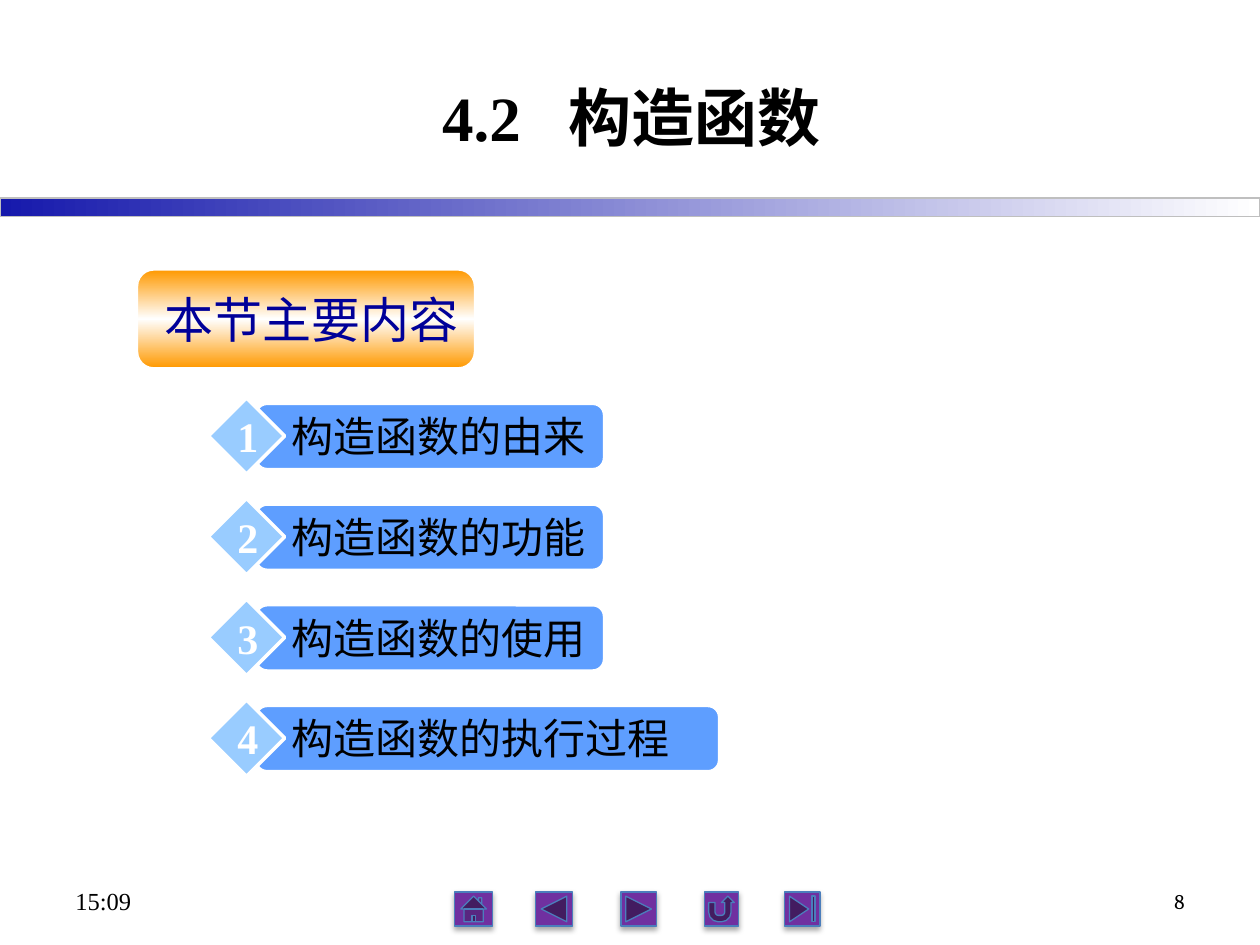
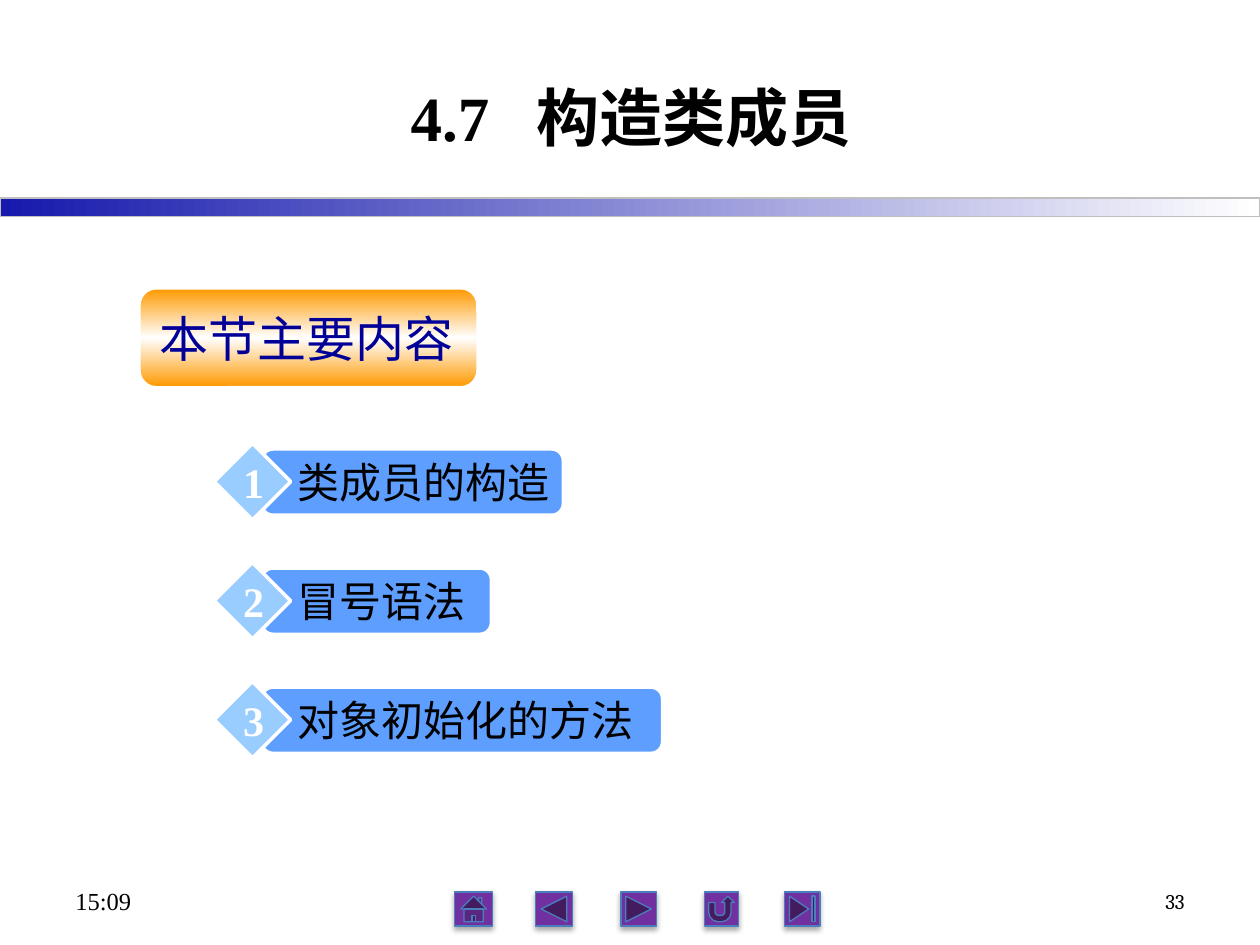
"""Build two section-opening slides with numbered topic lists."""
from lxml import etree
from pptx import Presentation
from pptx import util as u
from pptx.dml.color import RGBColor
from pptx.enum import shapes, text
from pptx.oxml.ns import qn

MSO = shapes.MSO_SHAPE
AL = text.PP_ALIGN
MIDDLE = text.MSO_ANCHOR.MIDDLE
SERIF, CJK = "Times New Roman", "Noto Sans CJK SC"
BLACK, WHITE, NAVY = "000000", "FFFFFF", "000099"
BAR, DIAMOND = "5E9EFF", "99CCFF"
ORANGE = ["FF9900", WHITE, "FF9900"]

BUTTONS = [
    (MSO.ACTION_BUTTON_HOME, 9.17, 0.76),
    (MSO.ACTION_BUTTON_BACK_OR_PREVIOUS, 10.8, 0.74),
    (MSO.ACTION_BUTTON_FORWARD_OR_NEXT, 12.52, 0.71),
    (MSO.ACTION_BUTTON_RETURN, 14.2, 0.69),
    (MSO.ACTION_BUTTON_END, 15.82, 0.71),
]

SECTIONS = [
    dict(number="4.2", title="构造函数", page="8", head=(2.77, 5.44), indent=0.3,
         left=4.2, top=8.02, pitch=2.03,
         topics=[("构造函数的由来", 7), ("构造函数的功能", 7),
                 ("构造函数的使用", 7), ("构造函数的执行过程", 9.32)]),
    dict(number="4.7", title="构造类成员", page="33", head=(2.82, 5.82), indent=0.15,
         left=4.32, top=8.94, pitch=2.4,
         topics=[("类成员的构造", 6.05), ("冒号语法", 4.6), ("对象初始化的方法", 8.05)]),
]


def draw(s, kind, box, fill, line, width, angle=0, shadow=False):
    """Add a preset shape; a list of colours makes an even gradient."""
    sp = s.shapes.add_shape(kind, *map(u.Cm, box))
    if isinstance(fill, list):
        sp.fill.gradient()
        sp.fill.gradient_angle = angle
        stops = sp._element.spPr.find(".//" + qn("a:gsLst"))
        stops.clear()
        for i, colour in enumerate(fill):
            gs = etree.SubElement(stops, qn("a:gs"), pos=str(100000 * i // (len(fill) - 1)))
            etree.SubElement(gs, qn("a:srgbClr"), val=colour)
    else:
        sp.fill.solid()
        sp.fill.fore_color.rgb = RGBColor.from_string(fill)
    sp.line.color.rgb = RGBColor.from_string(line)
    sp.line.width = u.Pt(width)
    sp.shadow.inherit = False
    if shadow:
        effects = sp._element.spPr.find(qn("a:effectLst"))
        outer = etree.SubElement(effects, qn("a:outerShdw"), blurRad=str(u.Pt(3.1)),
                                 dist=str(u.Pt(1.8)), dir="5400000", rotWithShape="0")
        clr = etree.SubElement(outer, qn("a:srgbClr"), val=BLACK)
        etree.SubElement(clr, qn("a:alpha"), val="35000")


def write(s, words, box=None, tf=None, size=24, font=SERIF, colour=BLACK, bold=False,
          align=AL.LEFT, anchor=text.MSO_ANCHOR.TOP, wrap=True, top=0.13, bottom=0.13, gap=0):
    """Add a formatted run to a text frame, or to a new text box."""
    tf = tf or s.shapes.add_textbox(*map(u.Cm, box)).text_frame
    tf.word_wrap, tf.vertical_anchor = wrap, anchor
    tf.margin_top, tf.margin_bottom = u.Cm(top), u.Cm(bottom)
    p = tf.paragraphs[0]
    p.alignment = align
    r = p.add_run()
    r.text = words
    r.font.size, r.font.bold, r.font.name = u.Pt(size), bold, font
    r.font.color.rgb = RGBColor.from_string(colour)
    rpr = r.font._element
    etree.SubElement(rpr, qn("a:ea"), typeface=CJK)
    if gap:
        rpr.set("spc", str(gap * 100))


prs = Presentation()
prs.slide_width, prs.slide_height = u.Cm(25.4), u.Cm(19.05)

for sec in SECTIONS:
    s = prs.slides.add_slide(prs.slide_layouts[5])

    draw(s, MSO.RECTANGLE, (0, 3.99, 25.4, 0.38), ["1619AC", WHITE], "BFBFBF", 0.75)
    for kind, x, w in BUTTONS:
        draw(s, kind, (x, 17.98, w, 0.69), "7030A0", "4B7EBC", 0.75, shadow=True)
    write(s, "15:09", (1.27, 17.65, 5.92, 1.02), size=14, anchor=MIDDLE)
    write(s, sec["page"], (18.21, 17.65, 5.92, 1.02), size=12, font="Cambria",
          align=AL.RIGHT, anchor=MIDDLE)

    title = s.shapes.title
    title.left, title.top, title.width, title.height = map(u.Cm, (2.82, 0.76, 19.81, 3.18))
    for words, font, gap in [(sec["number"], SERIF, 0), (" ", SERIF, 18), (sec["title"], CJK, 0)]:
        write(s, words, tf=title.text_frame, size=36, font=font, bold=True,
              align=AL.CENTER, anchor=MIDDLE, gap=gap)

    x, y = sec["head"]
    draw(s, MSO.ROUNDED_RECTANGLE, (x, y, 6.8, 1.98), ORANGE, WHITE, 1, angle=90)
    write(s, "本节主要内容", (x + sec["indent"], y + 0.17, 6.5, 1.45), size=28,
          font="Arial", colour=NAVY, top=0.23, bottom=0.03)

    x = sec["left"]
    for i, (topic, w) in enumerate(sec["topics"]):
        y = sec["top"] + i * sec["pitch"]
        draw(s, MSO.ROUNDED_RECTANGLE, (x + 0.97, y + 0.13, w, 1.3), BAR, WHITE, 1)
        draw(s, MSO.DIAMOND, (x, y, 1.54, 1.54), DIAMOND, WHITE, 2)
        write(s, topic, (x + 1.42, y + 0.13, w - 0.45, 1.27))
        write(s, str(i + 1), (x + 0.32, y + 0.13, 0.95, 1.27), colour=WHITE, bold=True,
              align=AL.CENTER, wrap=False)

prs.save("out.pptx")
